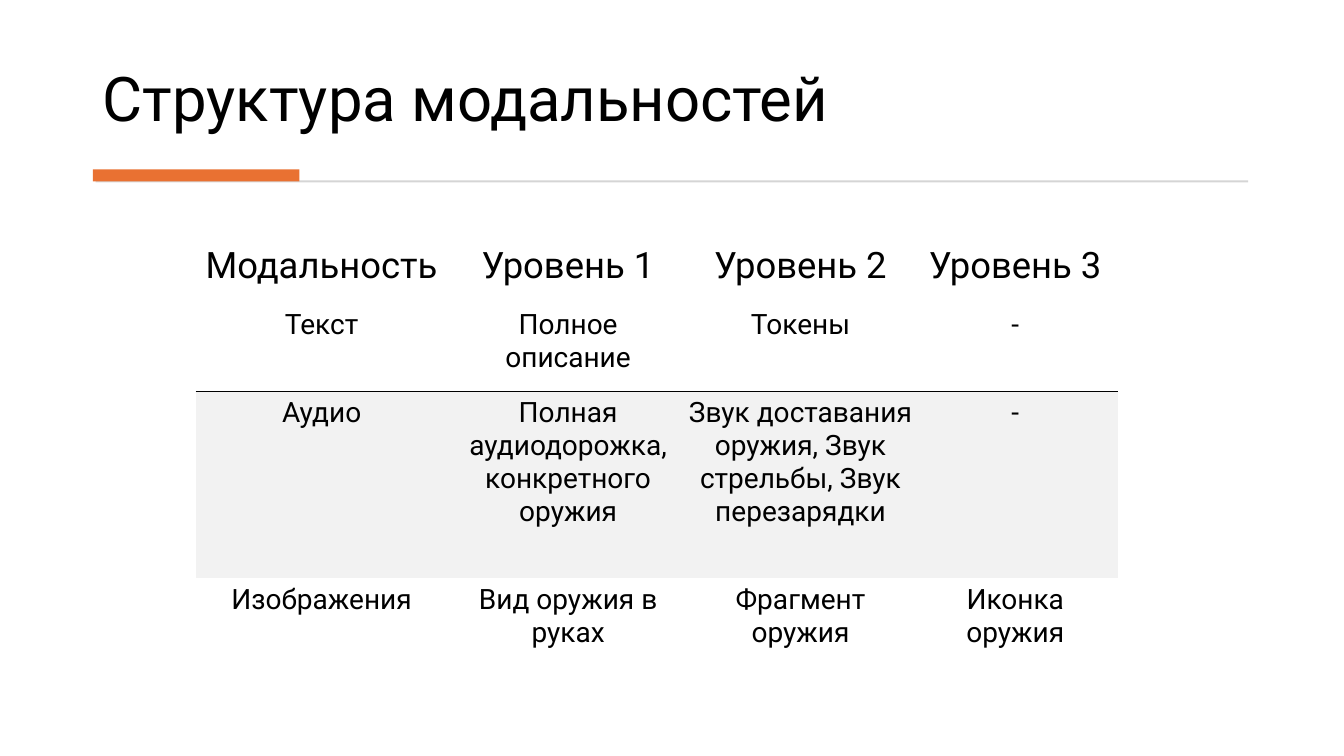
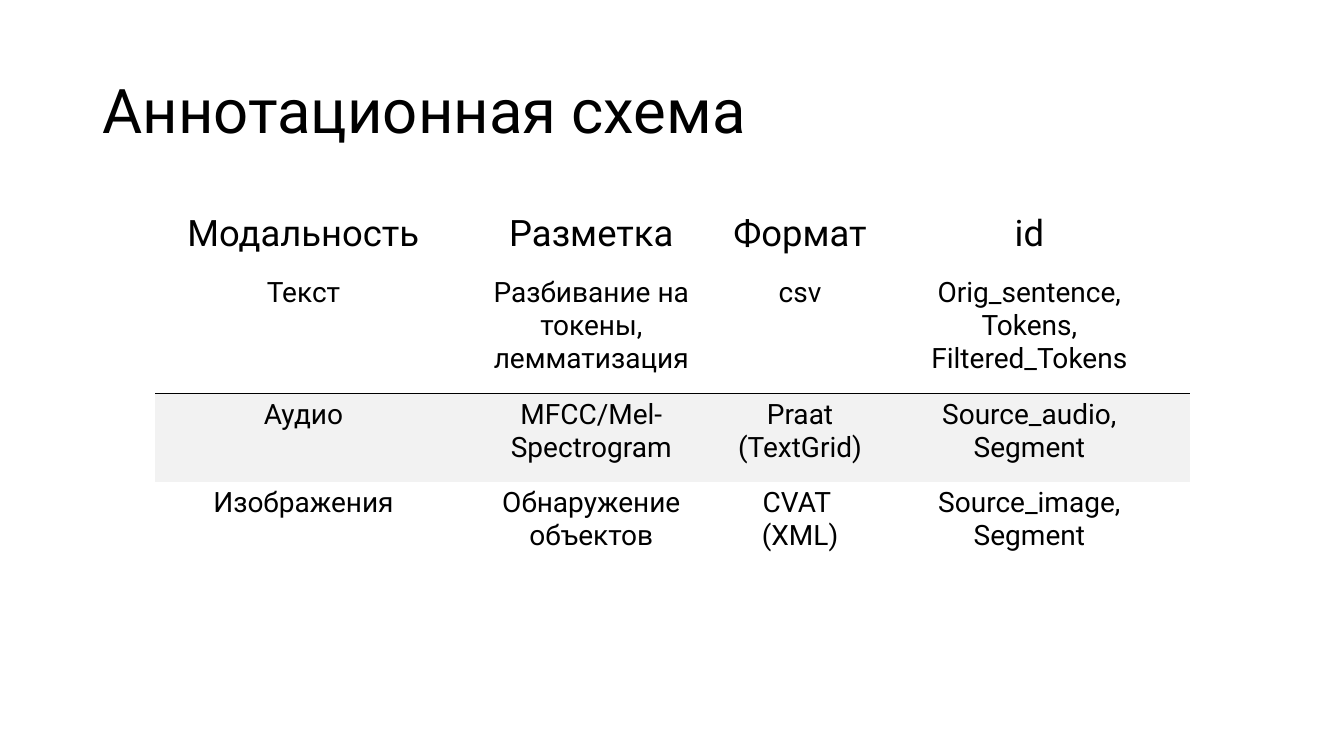
from dataclasses import dataclass

from lxml import etree
from pptx import Presentation
from pptx import util as u
from pptx.dml.color import RGBColor
from pptx.enum import shapes, text
from pptx.oxml.ns import qn


@dataclass(frozen=True)
class Theme:
    font: str = "Roboto"
    ink: str = "000000"
    accent: str = "E97132"
    rule: str = "D5D5D5"
    band: str = "F2F2F2"
    title_size: int = 44
    header_size: int = 26
    body_size: int = 20
    border_width: float = 0.75


theme = Theme()


def style(para, size):
    para.font.name = theme.font
    para.font.size = u.Pt(size)
    para.font.color.rgb = RGBColor.from_string(theme.ink)


def set_border(cell, side, visible):
    line = etree.SubElement(cell._tc.get_or_add_tcPr(), qn(f"a:ln{side}"))
    if visible:
        line.set("w", str(u.Pt(theme.border_width)))
        fill = etree.SubElement(line, qn("a:solidFill"))
        etree.SubElement(fill, qn("a:srgbClr"), val=theme.ink)
    else:
        etree.SubElement(line, qn("a:noFill"))


slides = [
    {
        "title": "Структура модальностей",
        "title_at": (0.92, 0.28, 11.49, 1.11),
        "anchor": text.MSO_ANCHOR.BOTTOM,
        "bars": [
            (0.95, 1.79, 11.43, 0.02, theme.rule),
            (0.92, 1.68, 2.05, 0.12, theme.accent),
        ],
        "table_at": (1.94, 2.31),
        "columns": [2.66, 2.23, 2.38, 1.88],
        "rows": [0.7, 0.86, 1.85, 1.26],
        "cells": [
            ["Модальность", "Уровень 1", "Уровень 2", "Уровень 3"],
            ["Текст", "Полное описание", "Токены", "-"],
            [
                "Аудио",
                "Полная аудиодорожка, конкретного оружия",
                "Звук доставания оружия, Звук стрельбы, Звук перезарядки",
                "-",
            ],
            ["Изображения", "Вид оружия в руках", "Фрагмент оружия", "Иконка оружия"],
        ],
    },
    {
        "title": "Аннотационная схема",
        "title_at": (0.92, 0.4, 11.5, 1.45),
        "anchor": text.MSO_ANCHOR.MIDDLE,
        "bars": [],
        "table_at": (1.54, 1.99),
        "columns": [3.1, 2.61, 1.53, 3.02],
        "rows": [0.7, 1.19, 0.87, 0.96],
        "cells": [
            ["Модальность", "Разметка", "Формат", "id"],
            [
                "Текст",
                "Разбивание на токены, лемматизация",
                "csv",
                "Orig_sentence,\nTokens,\nFiltered_Tokens",
            ],
            ["Аудио", "MFCC/Mel-Spectrogram", "Praat\n(TextGrid)", "Source_audio,\nSegment"],
            ["Изображения", "Обнаружение объектов", "CVAT \n(XML)", "Source_image,\nSegment"],
        ],
    },
]

deck = Presentation()
deck.slide_width = u.Inches(13.33)
deck.slide_height = u.Inches(7.5)

for content in slides:
    page = deck.slides.add_slide(deck.slide_layouts[6])

    box = page.shapes.add_textbox(*map(u.Inches, content["title_at"]))
    frame = box.text_frame
    frame.word_wrap = True
    frame.vertical_anchor = content["anchor"]
    frame.text = content["title"]
    frame.paragraphs[0].line_spacing = 0.9
    style(frame.paragraphs[0], theme.title_size)

    for *place, color in content["bars"]:
        bar = page.shapes.add_shape(shapes.MSO_SHAPE.RECTANGLE, *map(u.Inches, place))
        bar.shadow.inherit = False
        bar.fill.solid()
        bar.fill.fore_color.rgb = RGBColor.from_string(color)
        bar.line.fill.background()

    columns, rows = content["columns"], content["rows"]
    size = (sum(columns), sum(rows))
    table = page.shapes.add_table(
        len(rows), len(columns), *map(u.Inches, content["table_at"] + size)
    ).table
    table.first_row = False
    table.horz_banding = False
    for column, width in zip(table.columns, columns):
        column.width = u.Inches(width)
    for row, height in zip(table.rows, rows):
        row.height = u.Inches(height)

    for row_index, values in enumerate(content["cells"]):
        is_header = row_index == 0
        for column_index, value in enumerate(values):
            cell = table.cell(row_index, column_index)
            cell.text = value
            cell.margin_left = 0
            cell.margin_top = u.Inches(0.03 if is_header else 0.05)
            cell.margin_right = cell.margin_bottom = u.Inches(0.16)
            cell.vertical_anchor = text.MSO_ANCHOR.BOTTOM if is_header else text.MSO_ANCHOR.TOP
            for para in cell.text_frame.paragraphs:
                para.alignment = text.PP_ALIGN.CENTER
                style(para, theme.header_size if is_header else theme.body_size)
            for side in "LRTB":
                set_border(cell, side, (row_index, side) in [(1, "B"), (2, "T")])
            if row_index == 2:
                cell.fill.solid()
                cell.fill.fore_color.rgb = RGBColor.from_string(theme.band)
            else:
                cell.fill.background()

deck.save("out.pptx")
